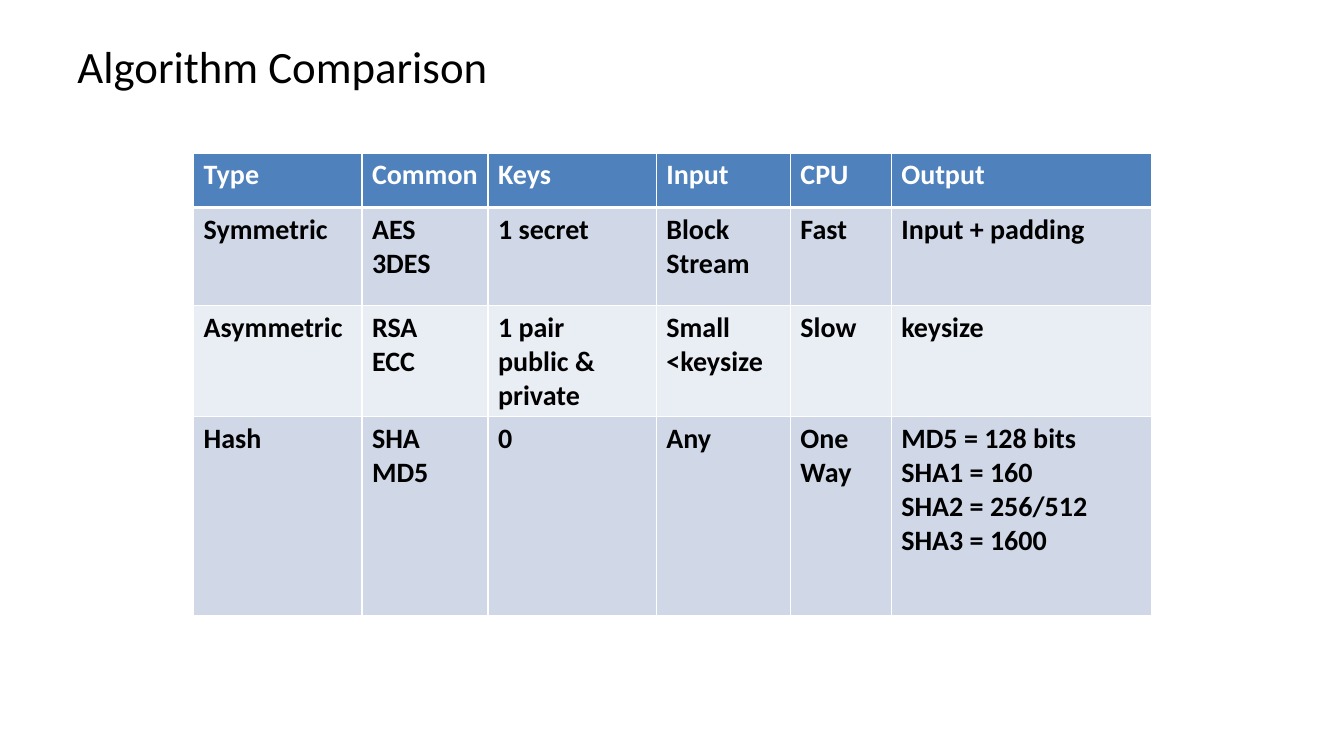
from lxml.etree import SubElement
from pptx import Presentation
from pptx.dml.color import RGBColor
from pptx.enum.text import MSO_ANCHOR
from pptx.oxml.ns import qn
from pptx.util import Emu, Pt

EMU_PER_PX = 9144
FONT = "Calibri"
BLACK, WHITE = "000000", "FFFFFF"
HEADER_FILL, BAND_FILLS = "4F81BD", ("E9EDF4", "D0D8E8")
COLUMN_WIDTHS = (167, 125, 167, 133, 100, 258)
ROW_HEIGHTS = (54, 97, 97, 198)
ALGORITHMS = (
    ("Type", "Common", "Keys", "Input", "CPU", "Output"),
    ("Symmetric", "AES\n3DES", "1 secret", "Block\nStream", "Fast", "Input + padding"),
    ("Asymmetric", "RSA\nECC", "1 pair\npublic & private", "Small <keysize", "Slow", "keysize"),
    ("Hash", "SHA\nMD5", "0", "Any", "One Way",
     "MD5 = 128 bits\nSHA1 = 160\nSHA2 = 256/512\nSHA3 = 1600"),
)


def px(length):
    """Turn whole pixels into EMU."""
    return Emu(length * EMU_PER_PX)


def color(hex_string):
    """Turn a hex string into a colour."""
    return RGBColor.from_string(hex_string)


def write_lines(text_frame, text, size, hex_string, bold=False):
    """Write each line of the text as a paragraph with one run."""
    for index, line in enumerate(text.split("\n")):
        paragraph = text_frame.add_paragraph() if index else text_frame.paragraphs[0]
        run = paragraph.add_run()
        run.text = line
        run.font.name = FONT
        run.font.size = Pt(size)
        run.font.bold = bold
        run.font.color.rgb = color(hex_string)


def add_title(slide, text, left, top, width, height):
    """Add the slide title, centred vertically in its box."""
    text_frame = slide.shapes.add_textbox(px(left), px(top), px(width), px(height)).text_frame
    text_frame.word_wrap = True
    text_frame.vertical_anchor = MSO_ANCHOR.MIDDLE
    write_lines(text_frame, text, 32, BLACK)


def add_borders(cell, top, bottom):
    """Draw white cell borders with the given top and bottom widths in points."""
    properties = cell._tc.get_or_add_tcPr()
    for side, width in (("L", 1), ("R", 1), ("T", top), ("B", bottom)):
        line = SubElement(properties, qn(f"a:ln{side}"), w=str(Pt(width)))
        SubElement(SubElement(line, qn("a:solidFill")), qn("a:srgbClr"), val=WHITE)


def format_cell(cell, text, row_index):
    """Write one cell and style it as header or banded body."""
    is_header = row_index == 0
    add_borders(cell, 3 if row_index == 1 else 1, 3 if is_header else 1)
    cell.fill.solid()
    cell.fill.fore_color.rgb = color(HEADER_FILL if is_header else BAND_FILLS[row_index % 2])
    write_lines(cell.text_frame, text, 20, WHITE if is_header else BLACK, True)


def add_comparison_table(slide, left, top):
    """Add the table that compares the algorithm types."""
    table = slide.shapes.add_table(
        len(ROW_HEIGHTS), len(COLUMN_WIDTHS), px(left), px(top),
        px(sum(COLUMN_WIDTHS)), px(sum(ROW_HEIGHTS))).table
    for column, width in zip(table.columns, COLUMN_WIDTHS):
        column.width = px(width)
    for row_index, (row, height) in enumerate(zip(table.rows, ROW_HEIGHTS)):
        row.height = px(height)
        for cell, text in zip(row.cells, ALGORITHMS[row_index]):
            format_cell(cell, text, row_index)


def main():
    """Build and save the slide."""
    presentation = Presentation()
    presentation.slide_width, presentation.slide_height = px(1333), px(750)
    slide = presentation.slides.add_slide(presentation.slide_layouts[6])
    add_title(slide, "Algorithm Comparison", 67, 30, 1200, 70)
    add_comparison_table(slide, 192, 152)
    presentation.save("out.pptx")


if __name__ == "__main__":
    main()
